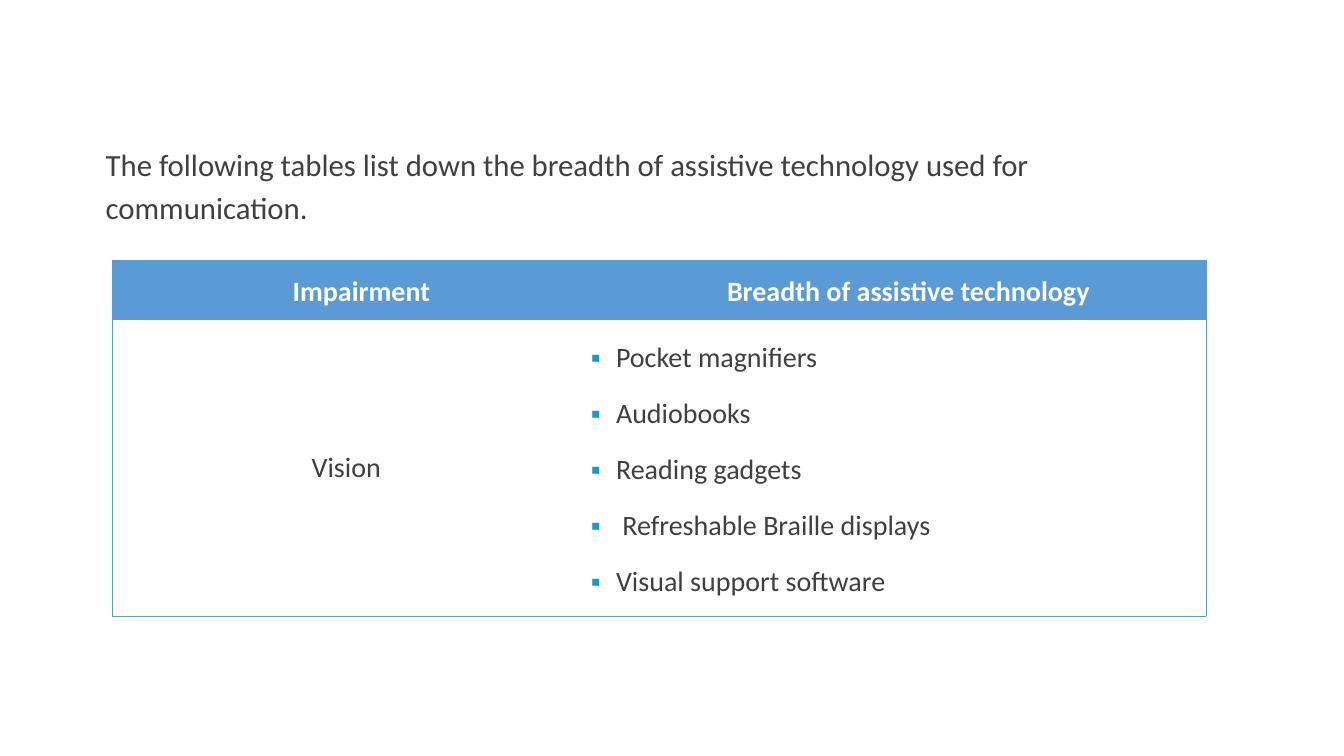
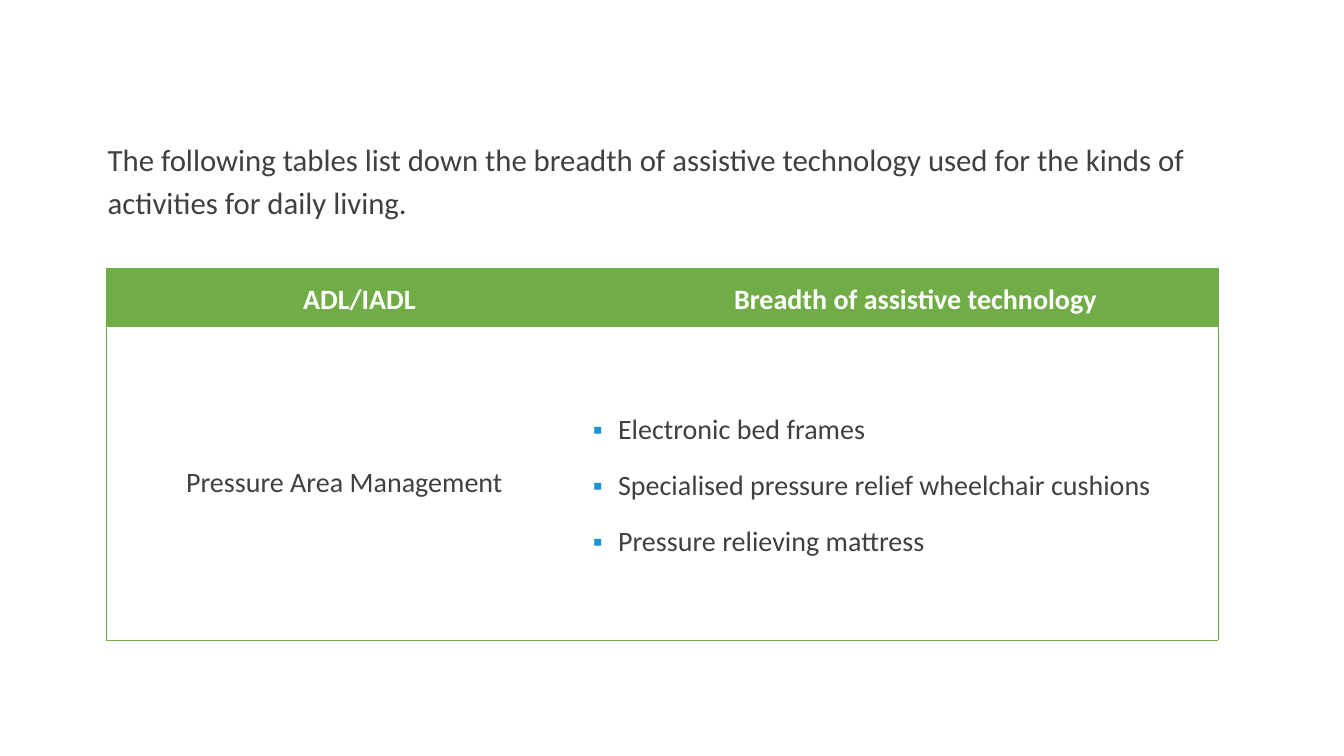
"""Build two slides that list assistive technology in tables."""
import pptx
import pptx.dml.color
import pptx.enum.text
import pptx.oxml
import pptx.oxml.ns
import pptx.util

PX = 9144
FONT = "Calibri"
COLOURS = {
    "text": "404040",
    "white": "FFFFFF",
    "bullet": "1C96D3",
    "blue": "5B9BD5",
    "green": "70AD47",
}
NAMESPACE = pptx.oxml.ns.nsdecls("a")
CENTER = pptx.enum.text.PP_ALIGN.CENTER
MIDDLE = pptx.enum.text.MSO_ANCHOR.MIDDLE
BULLET_XML = (
    f'<a:buClr {NAMESPACE}><a:srgbClr val="{COLOURS["bullet"]}"/></a:buClr>',
    f'<a:buFont {NAMESPACE} typeface="Arial"/>',
    f'<a:buChar {NAMESPACE} char="▪"/>',
)
SLIDES = [
    {
        "intro": "The following tables list down the breadth of assistive technology "
                 "used for communication.",
        "intro_at": (95, 135),
        "table_at": (111, 258),
        "columns": (465, 620),
        "rows": (59, 294),
        "accent": "blue",
        "heading": "Impairment",
        "subject": "Vision",
        "items": ["Pocket magnifiers", "Audiobooks", "Reading gadgets",
                  " Refreshable Braille displays", "Visual support software"],
    },
    {
        "intro": "The following tables list down the breadth of assistive technology "
                 "used for the kinds of activities for daily living.",
        "intro_at": (97, 130),
        "table_at": (105, 266),
        "columns": (473, 630),
        "rows": (58, 311),
        "accent": "green",
        "heading": "ADL/IADL",
        "subject": "Pressure Area Management",
        "items": ["Electronic bed frames",
                  "Specialised pressure relief wheelchair cushions",
                  "Pressure relieving mattress"],
    },
]


def write(paragraph, text, size=20, colour="text", bold=False, spacing=None, before=0):
    """Add one styled run and set the spacing of its paragraph."""
    if spacing:
        paragraph.line_spacing = spacing
        paragraph.space_before = pptx.util.Pt(before)
        paragraph.space_after = pptx.util.Pt(6)
    run = paragraph.add_run()
    run.text = text
    run.font.name = FONT
    run.font.size = pptx.util.Pt(size)
    run.font.bold = bold
    run.font.color.rgb = pptx.dml.color.RGBColor.from_string(COLOURS[colour])


def set_borders(cell, accent, drawn):
    """Draw the listed edges of a cell and hide the others."""
    properties = cell._tc.get_or_add_tcPr()
    for edge in "LRTB":
        fill = "<a:noFill/>"
        if edge in drawn:
            fill = f'<a:solidFill><a:srgbClr val="{COLOURS[accent]}"/></a:solidFill>'
        properties.append(pptx.oxml.parse_xml(
            f'<a:ln{edge} {NAMESPACE} w="6350">{fill}</a:ln{edge}>'))


presentation = pptx.Presentation()
presentation.slide_width = 1333 * PX
presentation.slide_height = 750 * PX

for content in SLIDES:
    slide = presentation.slides.add_slide(presentation.slide_layouts[6])
    accent = content["accent"]

    left, top = content["intro_at"]
    intro = slide.shapes.add_textbox(left * PX, top * PX, 1103 * PX, 100 * PX)
    intro.text_frame.word_wrap = True
    write(intro.text_frame.paragraphs[0], content["intro"], size=22, spacing=1.14)

    left, top = content["table_at"]
    columns, rows = content["columns"], content["rows"]
    table = slide.shapes.add_table(2, 2, left * PX, top * PX,
                                   sum(columns) * PX, sum(rows) * PX).table
    table.first_row = table.horz_banding = False
    for index in range(2):
        table.columns[index].width = columns[index] * PX
        table.rows[index].height = rows[index] * PX

    headings = (content["heading"], "Breadth of assistive technology")
    for index, (heading, side) in enumerate(zip(headings, "LR")):
        header, body = table.cell(0, index), table.cell(1, index)
        set_borders(header, accent, side + "TB")
        set_borders(body, accent, side + "TB")
        header.vertical_anchor = body.vertical_anchor = MIDDLE

        header.fill.solid()
        header.fill.fore_color.rgb = pptx.dml.color.RGBColor.from_string(COLOURS[accent])
        header.margin_left = header.margin_right = 7 * PX
        header.margin_top = header.margin_bottom = 0
        paragraph = header.text_frame.paragraphs[0]
        paragraph.alignment = CENTER
        paragraph_properties = paragraph._p.get_or_add_pPr()
        paragraph_properties.set("marL", str(55 * PX))
        paragraph_properties.set("indent", str(-25 * PX))
        write(paragraph, heading, colour="white", bold=True, spacing=1.15)

        body.fill.background()

    subject = table.cell(1, 0).text_frame.paragraphs[0]
    subject.alignment = CENTER
    write(subject, content["subject"])

    item_frame = table.cell(1, 1).text_frame
    for index, item in enumerate(content["items"]):
        paragraph = item_frame.add_paragraph() if index else item_frame.paragraphs[0]
        paragraph_properties = paragraph._p.get_or_add_pPr()
        paragraph_properties.set("marL", str(25 * PX))
        paragraph_properties.set("indent", str(-25 * PX))
        for bullet_part in BULLET_XML:
            paragraph_properties.append(pptx.oxml.parse_xml(bullet_part))
        write(paragraph, item, spacing=1.14, before=6 if index else 0)

presentation.save("out.pptx")
